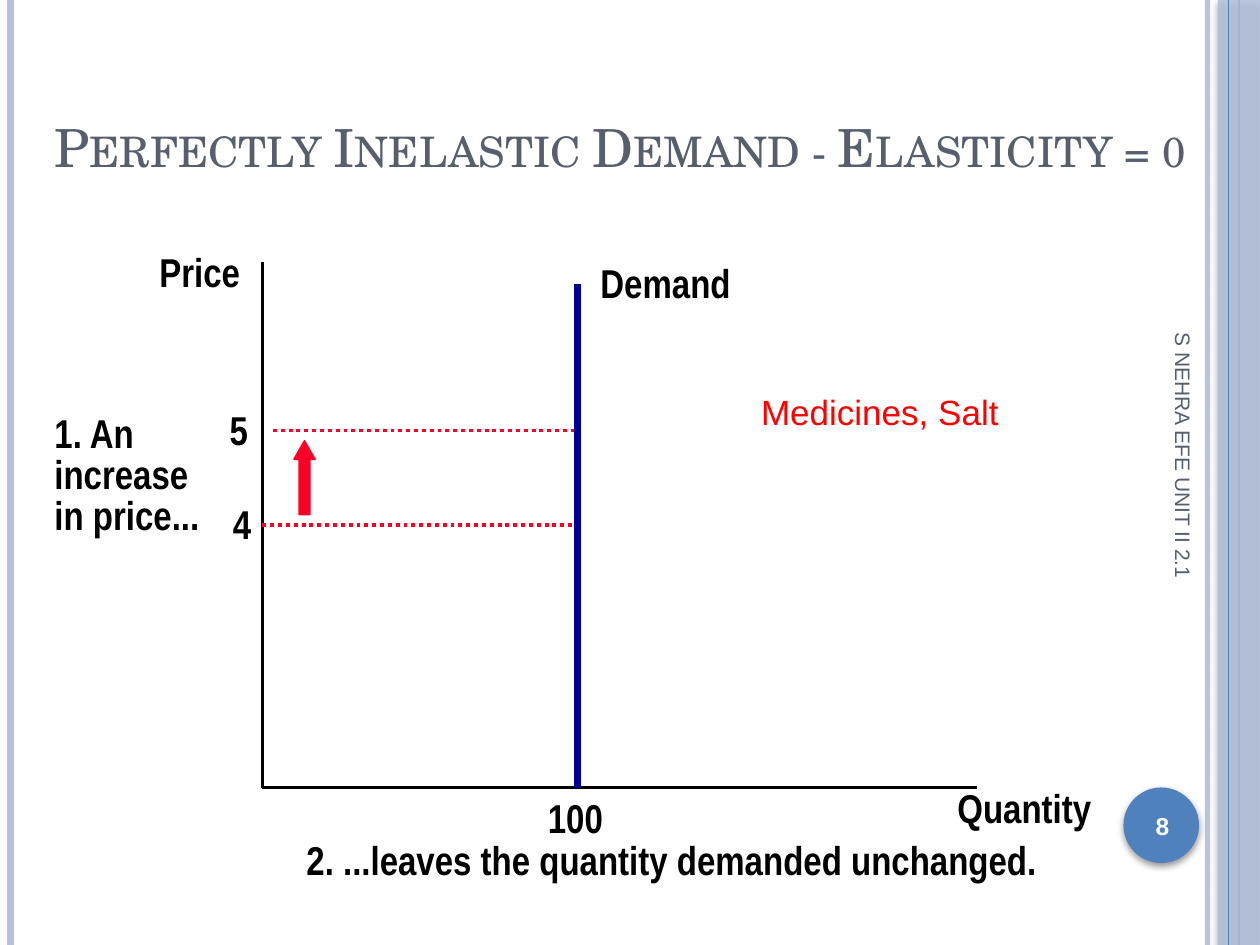
"""Builds the slide on perfectly inelastic demand."""
from dataclasses import dataclass
from lxml.etree import SubElement
from pptx import Presentation
from pptx.dml.color import RGBColor
from pptx.enum.dml import MSO_LINE
from pptx.enum.shapes import MSO_CONNECTOR, MSO_SHAPE
from pptx.enum.text import MSO_ANCHOR, MSO_AUTO_SIZE, PP_ALIGN
from pptx.oxml.ns import qn
from pptx.util import Inches, Pt


@dataclass(frozen=True)
class Theme:
    """Holds the colours, fonts and type sizes."""
    ink: str = "000000"
    slate: str = "575F6D"
    pale: str = "B3C1DB"
    blue: str = "4F81BD"
    navy: str = "000099"
    rise: str = "FC0128"
    red: str = "FF0000"
    white: str = "FFFFFF"
    serif: str = "TeX Gyre Schola"
    sans: str = "Arial"
    slim: str = "Arial Narrow"
    head: int = 30
    label: int = 23
    note: int = 20
    page: int = 14
    foot: int = 12


class Board:
    """Draws on one slide with a grid of 120 columns and 90 rows."""

    def __init__(self, deck, theme):
        """Adds a slide that has only a title."""
        self.theme = theme
        self.cell = deck.slide_width / 120
        self.slide = deck.slides.add_slide(deck.slide_layouts[5])
        self.shapes = self.slide.shapes

    def grid(self, *marks):
        """Turns grid marks into lengths."""
        return [round(mark * self.cell) for mark in marks]

    def fade(self, fill, share):
        """Makes a solid fill partly clear."""
        tone = fill._xPr.find(qn("a:solidFill"))[0]
        SubElement(tone, qn("a:alpha"), val=str(share * 1000))

    def shade(self, shape):
        """Gives a shape a soft shadow below."""
        shape.shadow.inherit = False
        effects = shape._element.spPr.find(qn("a:effectLst"))
        outer = SubElement(effects, qn("a:outerShdw"), blurRad=str(Pt(4)),
                           dist=str(Pt(2)), dir="5400000", rotWithShape="0")
        tone = SubElement(outer, qn("a:srgbClr"), val=self.theme.ink)
        SubElement(tone, qn("a:alpha"), val="40000")

    def line(self, start, end, tint, width, dash=None, alpha=None):
        """Draws a straight line."""
        rule = self.shapes.add_connector(
            MSO_CONNECTOR.STRAIGHT, *self.grid(*start, *end))
        rule.line.color.rgb = RGBColor.from_string(tint)
        rule.line.width = Pt(width)
        if dash:
            rule.line.dash_style = dash
        if alpha:
            self.fade(rule.line.fill, alpha)
        SubElement(rule._element.spPr, qn("a:effectLst"))

    def form(self, kind, box, tint, alpha=None):
        """Draws a filled preset shape without an outline."""
        shape = self.shapes.add_shape(kind, *self.grid(*box))
        shape.shadow.inherit = False
        shape.fill.solid()
        shape.fill.fore_color.rgb = RGBColor.from_string(tint)
        shape.line.fill.background()
        if alpha:
            self.fade(shape.fill, alpha)
        return shape

    def put(self, frame, lines, face, size, tint, bold=False, space=None):
        """Fills a text frame with one run per line."""
        frame.auto_size = MSO_AUTO_SIZE.NONE
        for spot, words in enumerate(lines):
            para = frame.add_paragraph() if spot else frame.paragraphs[0]
            para.alignment = PP_ALIGN.LEFT
            para.line_spacing = space
            run = para.add_run()
            run.text = words
            run.font.name = face
            run.font.size = Pt(size)
            run.font.bold = bold
            run.font.color.rgb = RGBColor.from_string(tint)

    def title(self, words, box):
        """Sets the title in small capitals."""
        head = self.shapes.title
        head.left, head.top, head.width, head.height = self.grid(*box)
        frame = head.text_frame
        frame.vertical_anchor = MSO_ANCHOR.MIDDLE
        self.put(frame, [words], self.theme.serif, self.theme.head,
                 self.theme.slate)
        font = frame.paragraphs[0].runs[0]._r.get_or_add_rPr()
        font.set("cap", "small")

    def text(self, box, lines, face, size, tint, bold=False, space=None):
        """Adds a text box that does not wrap."""
        shape = self.shapes.add_textbox(*self.grid(*box))
        shape.text_frame.word_wrap = False
        self.put(shape.text_frame, lines, face, size, tint, bold, space)
        return shape

    def label(self, box, *lines, space=None):
        """Adds a bold label to the graph."""
        self.text(box, lines, self.theme.slim, self.theme.label,
                  self.theme.ink, True, space)

    def frame(self, page, foot):
        """Draws the side bands, the page number and the footer."""
        look = self.theme
        self.line((115, 0), (115, 90), look.pale, 3, alpha=93)
        self.line((1, 0), (1, 90), look.pale, 4.5)
        self.line((118, 0), (118, 90), look.blue, 1.5)
        self.shade(self.form(MSO_SHAPE.RECTANGLE, (116, 0, 4, 90),
                             look.pale, 87))
        self.line((117, 0), (117, 90), look.blue, 0.75)
        self.shade(self.form(MSO_SHAPE.OVAL, (107, 75, 7.2, 7.2), look.blue))
        badge = self.text((106.7, 75.2, 8, 6.8), [page], look.sans,
                          look.page, look.white, True).text_frame
        badge.word_wrap = True
        badge.vertical_anchor = MSO_ANCHOR.MIDDLE
        badge.paragraphs[0].alignment = PP_ALIGN.CENTER
        side = self.text((91.7, 49.1, 42, 4.8), [foot], look.sans,
                         look.foot, look.slate)
        side.text_frame.word_wrap = True
        side.text_frame.vertical_anchor = MSO_ANCHOR.MIDDLE
        side.rotation = 90

    def graph(self):
        """Draws the axes, the demand line and the price rise."""
        look = self.theme
        left, base, demand = 25, 75, 55
        self.line((left, 25), (left, base), look.ink, 2.25)
        self.line((left, base), (93, base), look.ink, 2.25)
        for start, price in ((left, 50), (26, 41)):
            self.line((start, price), (demand, price), look.rise, 2.25,
                      MSO_LINE.ROUND_DOT)
        self.line((demand, base), (demand, 27), look.navy, 4.5)
        arrow = self.form(MSO_SHAPE.UP_ARROW, (28, 42, 2, 7), look.rise)
        arrow.adjustments[0], arrow.adjustments[1] = 0.5, 0.875
        arrow.line.color.rgb = RGBColor.from_string(look.rise)
        arrow.line.width = Pt(1)


def main():
    """Builds and saves the deck."""
    deck = Presentation()
    deck.slide_width, deck.slide_height = Inches(10), Inches(7.5)
    look = Theme()
    board = Board(deck, look)
    board.frame("8", "S NEHRA EFE UNIT II 2.1")
    board.title("Perfectly Inelastic Demand - Elasticity = 0", (4, 7, 112, 14))
    board.graph()
    tall = 5.76
    for left, top, wide, words in (
            (90, 74, 15.1, "Quantity"),
            (14, 23, 10.1, "Price"),
            (21, 47, 4.1, "4"),
            (20.7, 38, 4.1, "5"),
            (56, 24, 14.8, "Demand"),
            (51, 75, 7.7, "100"),
            (28, 79, 72.1, "2. ...leaves the quantity demanded unchanged.")):
        board.label((left, top, wide, tall), words)
    board.label((4, 39, 16.2, 13.6), "1. An", "increase", "in price...",
                space=0.85)
    board.text((71.3, 36.6, 25, 5.2), ["Medicines, Salt"], look.sans,
               look.note, look.red)
    deck.save("out.pptx")


if __name__ == "__main__":
    main()
